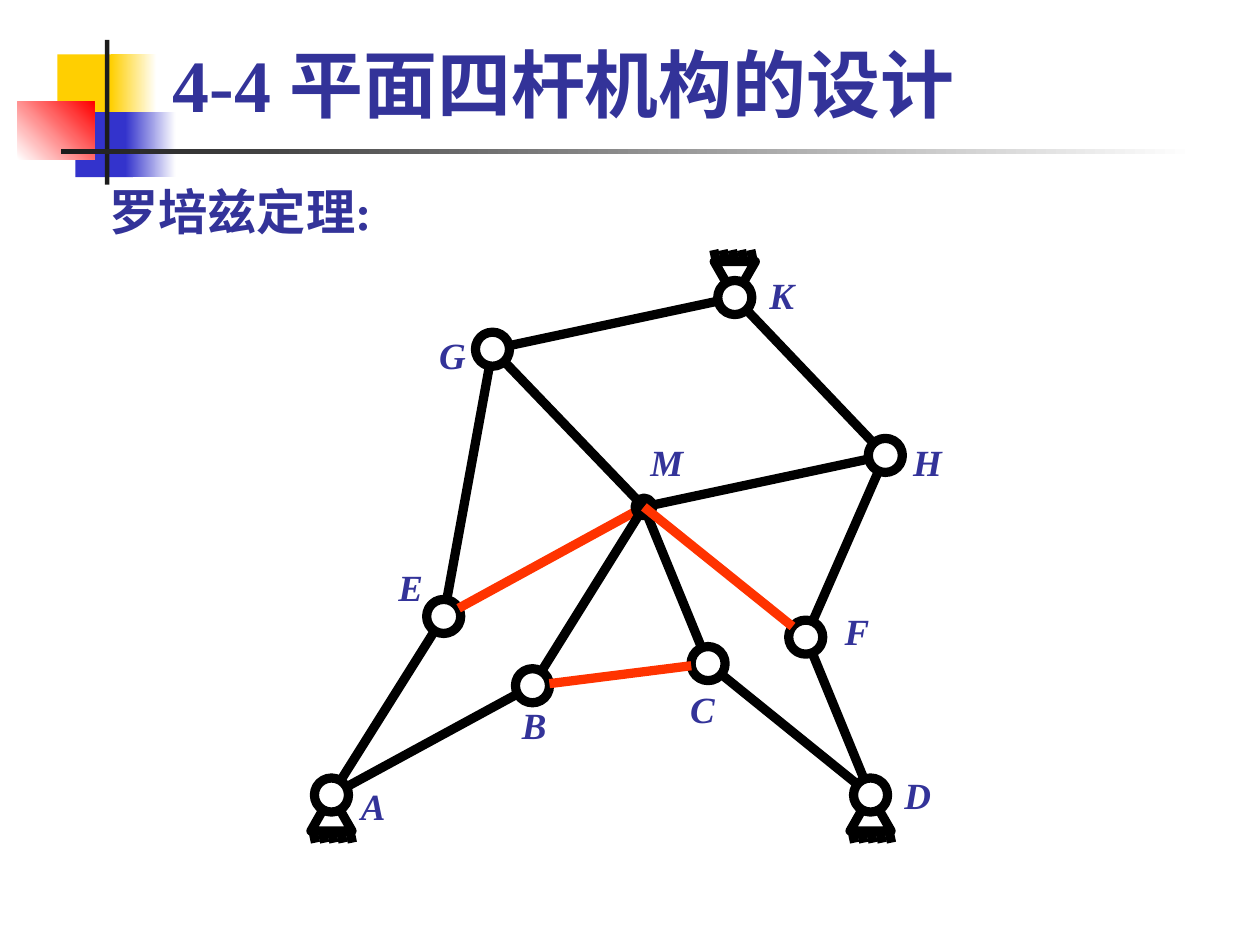
from collections import namedtuple
from math import hypot

from lxml import etree
from pptx import Presentation
from pptx.dml.color import RGBColor
from pptx.enum import shapes, text
from pptx.oxml import ns
from pptx.util import Pt

FONT = "Times New Roman"
INK = RGBColor(0x33, 0x33, 0x99)
BLACK = RGBColor(0, 0, 0)
WHITE = RGBColor(0xFF, 0xFF, 0xFF)
RED = RGBColor(0xFF, 0x33, 0)
BRIGHT_RED = RGBColor(0xFF, 0, 0)
YELLOW = RGBColor(0xFF, 0xCF, 0x01)
BLUE = RGBColor(0x33, 0x33, 0xCC)
CHARCOAL = RGBColor(0x1C, 0x1C, 0x1C)

STROKE = 4.5
RADIUS = 8.3
DOT_RADIUS = 4.3

Box = namedtuple("Box", "left top width height")
Joint = namedtuple("Joint", "x y label_dx label_dy")

JOINTS = {
    "A": Joint(11.6, 267.7, 20.2, 5.4),
    "B": Joint(109.6, 214.4, 0.7, 19.1),
    "C": Joint(195.2, 203.6, -2.8, 22),
    "D": Joint(274.4, 267.7, 22.4, -0.3),
    "E": Joint(66.3, 180.6, -16.2, -14.4),
    "F": Joint(242.8, 190.7, 24.8, -2.9),
    "G": Joint(90.1, 50.3, -20.1, 2.9),
    "H": Joint(281.6, 102.1, 19.5, 2.9),
    "K": Joint(208.2, 25.1, 22.7, -1.5),
    "M": Joint(163.9, 127.2, 9, -21.8),
}
BLACK_LINKS = ["AB", "CD", "BM", "MC", "EA", "GM", "EG", "GK", "KH", "MH", "HF", "FD"]
SUPPORTS = {"A": 1, "D": 1, "K": -1}


def style_text(para, size, italic=False):
    """Give a paragraph the bold serif face of the slide."""
    font = para.font
    font.name, font.size, font.bold, font.italic = FONT, Pt(size), True, italic
    font.color.rgb = INK


def add_text(page, words, box, size, align, wrap, italic=False):
    """Add one line of text, centred vertically in its box."""
    frame = page.shapes.add_textbox(*map(Pt, box)).text_frame
    frame.word_wrap = wrap
    frame.vertical_anchor = text.MSO_ANCHOR.MIDDLE
    para = frame.paragraphs[0]
    para.text, para.alignment = words, align
    style_text(para, size, italic)


def add_block(page, box, colors, angle=0):
    """Add a borderless rectangle in one colour or a two-colour gradient."""
    block = page.shapes.add_shape(shapes.MSO_SHAPE.RECTANGLE, *map(Pt, box))
    block.shadow.inherit = False
    block.line.fill.background()
    if len(colors) == 1:
        block.fill.solid()
        block.fill.fore_color.rgb = colors[0]
        return
    block.fill.gradient()
    block.fill.gradient_angle = angle
    for stop, color, position in zip(block.fill.gradient_stops, colors, (0, 1)):
        stop.color.rgb, stop.position = color, position


def add_stroke(page, start, end, color=BLACK):
    """Add a thick straight line without a shadow."""
    stroke = page.shapes.add_connector(
        shapes.MSO_CONNECTOR.STRAIGHT, *map(Pt, (*start, *end)))
    stroke.line.color.rgb, stroke.line.width = color, Pt(STROKE)
    etree.SubElement(stroke._element.spPr, ns.qn("a:effectLst"))


def add_circle(page, center, radius, filled=False):
    """Add a black circle around a centre, hollow or filled."""
    x, y = center
    circle = page.shapes.add_shape(
        shapes.MSO_SHAPE.OVAL, Pt(x - radius), Pt(y - radius), Pt(2 * radius), Pt(2 * radius))
    circle.shadow.inherit = False
    circle.line.color.rgb, circle.line.width = BLACK, Pt(STROKE)
    if filled:
        circle.fill.solid()
        circle.fill.fore_color.rgb = BLACK
    else:
        circle.fill.background()


def add_support(page, center, side):
    """Add a fixed support below (side 1) or above (side -1) a joint."""
    x, y = center
    near, far, tip = (y + side * depth for depth in (7, 17.5, 23.2))
    builder = page.shapes.build_freeform(Pt(x - 4), Pt(near))
    builder.add_line_segments(
        [(Pt(x - 10), Pt(far)), (Pt(x + 10), Pt(far)), (Pt(x + 4), Pt(near))], close=False)
    foot = builder.convert_to_shape()
    foot.shadow.inherit = False
    foot.fill.background()
    foot.line.color.rgb, foot.line.width = BLACK, Pt(STROKE)
    etree.SubElement(foot.line._get_or_add_ln(), ns.qn("a:round"))
    for step in range(-2, 3):
        hatch = x + 4.5 * step
        add_stroke(page, (hatch, far), (hatch + side * 1.2, tip))


def add_link(page, centers, pair, color=BLACK):
    """Join two joints, stopping at each ring but reaching the centre of M."""
    (x1, y1), (x2, y2) = (centers[name] for name in pair)
    length = hypot(x2 - x1, y2 - y1)
    first, last = (0 if name == "M" else RADIUS / length for name in pair)
    dx, dy = x2 - x1, y2 - y1
    add_stroke(page, (x1 + first * dx, y1 + first * dy),
               (x2 - last * dx, y2 - last * dy), color)


def draw_ornament(page, box):
    """Draw the coloured squares and the crossing rules of the heading."""
    blocks = [
        (19.4, 7.2, 29.5, 31.7, [YELLOW], 0),
        (45.4, 7.2, 22.3, 31.7, [YELLOW, WHITE], 0),
        (28.1, 35.3, 28.1, 31.7, [BLUE], 0),
        (52.6, 35.3, 24.5, 31.7, [BLUE, WHITE], 0),
        (0, 30.2, 37.4, 28.1, [WHITE, BRIGHT_RED], 45),
        (42.5, 0, 2.2, box.height, [CHARCOAL], 0),
        (20.9, 53.3, box.width - 20.9, 2.2, [CHARCOAL, WHITE], 0),
    ]
    for left, top, width, height, colors, angle in blocks:
        add_block(page, (box.left + left, box.top + top, width, height), colors, angle)


def place_title(page, box):
    """Move and format the title placeholder."""
    title = page.shapes.title
    title.left, title.top, title.width, title.height = map(Pt, box)
    frame = title.text_frame
    frame.auto_size = text.MSO_AUTO_SIZE.NONE
    frame.vertical_anchor = text.MSO_ANCHOR.BOTTOM
    para = frame.paragraphs[0]
    para.text, para.alignment = "4-4 平面四杆机构的设计", text.PP_ALIGN.LEFT
    style_text(para, 36)


def draw_mechanism(page, box):
    """Draw the linkage with its joints, supports and letters."""
    centers = {name: (box.left + joint.x, box.top + joint.y)
               for name, joint in JOINTS.items()}
    for name, side in SUPPORTS.items():
        add_support(page, centers[name], side)
    for name, center in centers.items():
        if name != "M":
            add_circle(page, center, RADIUS)
    add_link(page, centers, "EM", RED)
    add_circle(page, centers["M"], DOT_RADIUS, filled=True)
    for pair in BLACK_LINKS:
        add_link(page, centers, pair)
    for pair in ("BC", "MF"):
        add_link(page, centers, pair, RED)
    for name, joint in JOINTS.items():
        x, y = centers[name]
        label = (x + joint.label_dx - 13, y + joint.label_dy - 14, 26, 28)
        add_text(page, name, label, 18, text.PP_ALIGN.CENTER, False, italic=True)


def main():
    """Build and save the slide."""
    deck = Presentation()
    deck.slide_width, deck.slide_height = Pt(614.2), Pt(460.8)
    page = deck.slides.add_slide(deck.slide_layouts[5])
    draw_ornament(page, Box(8.6, 19.4, 573.9, 70.6))
    place_title(page, Box(77, 15.8, 523.4, 49.7))
    add_text(page, "罗培兹定理:", Box(46.1, 87.1, 522, 31), 24, text.PP_ALIGN.LEFT, True)
    draw_mechanism(page, Box(150, 120, 316, 292))
    deck.save("out.pptx")


if __name__ == "__main__":
    main()
